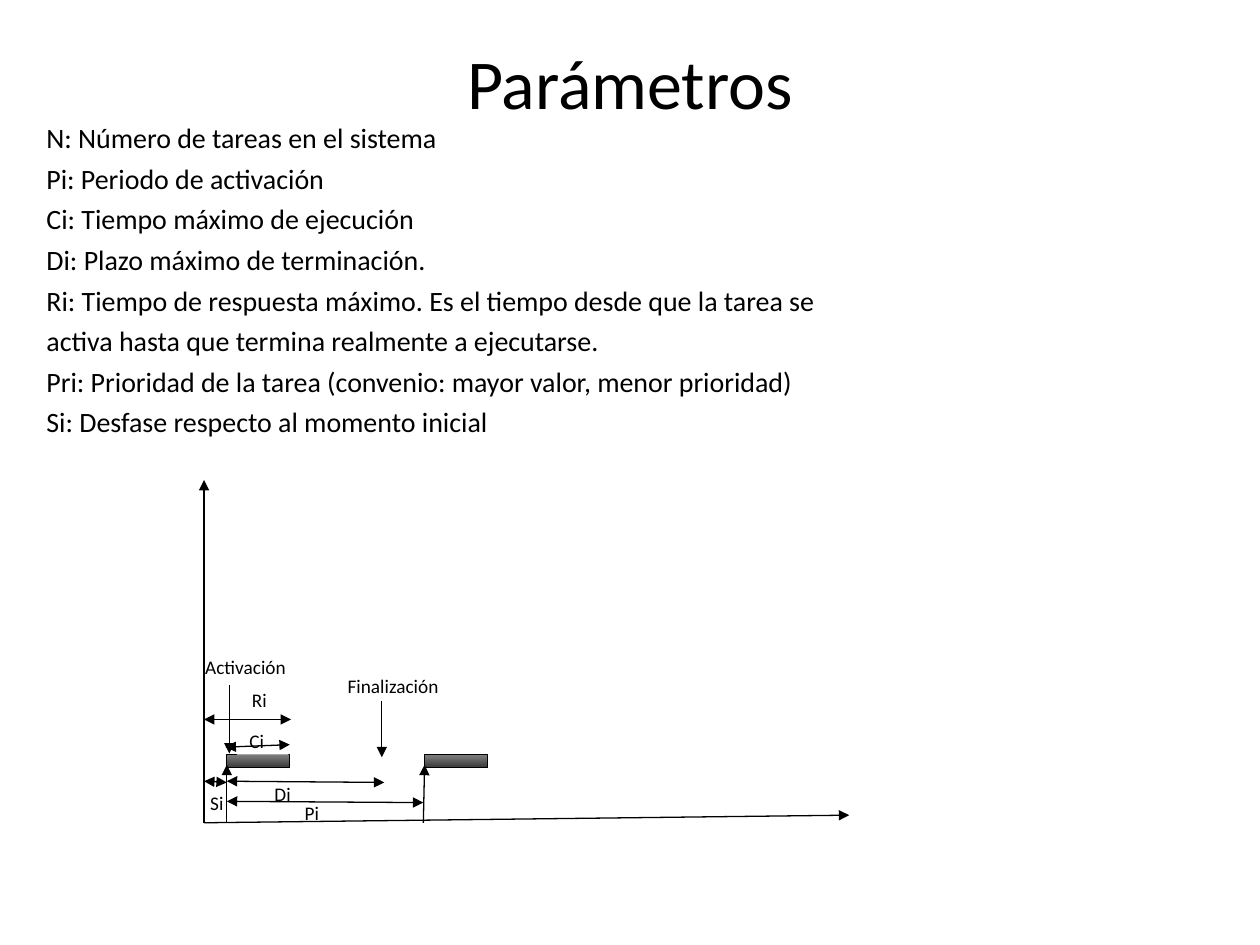
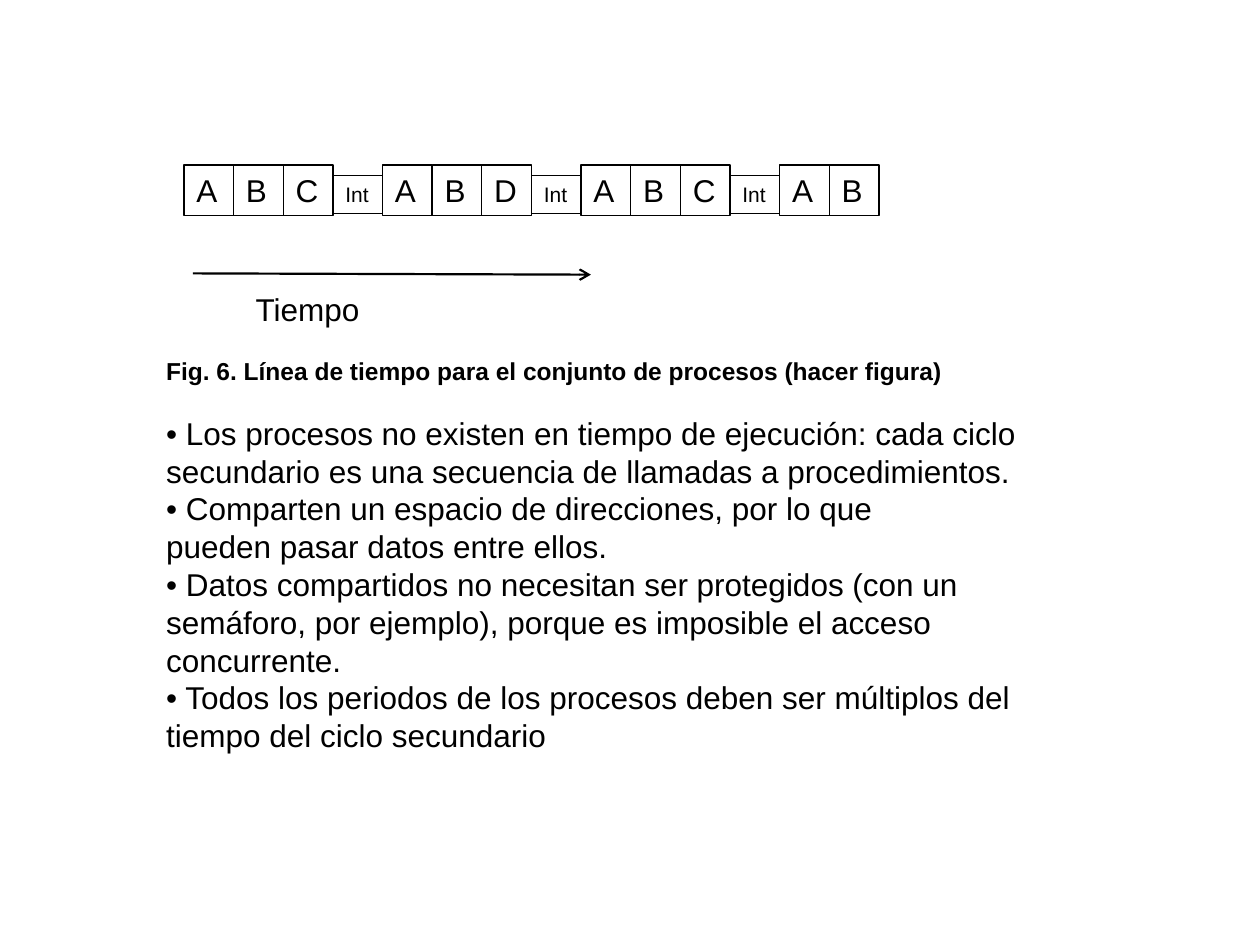
"""Builds two slides on real-time task parameters and the cyclic timeline."""
import lxml.etree
import pptx
import pptx.dml.color
import pptx.enum.shapes
import pptx.enum.text
import pptx.oxml.ns
import pptx.util

WIDTH, HEIGHT = 10, 7.5
BLACK, WHITE, BAR_TOP, BAR_BOTTOM = "000000", "FFFFFF", "808080", "3B3B3B"
THIN, THICK = 0.75, 1.25

TITLE = "Parámetros"
PARAMETERS = [
    "N: Número de tareas en el sistema",
    "Pi: Periodo de activación",
    "Ci: Tiempo máximo de ejecución",
    "Di: Plazo máximo de terminación.",
    "Ri: Tiempo de respuesta máximo. Es el tiempo desde que la tarea se",
    "activa hasta que termina realmente a ejecutarse.",
    "Pri: Prioridad de la tarea (convenio: mayor valor, menor prioridad)",
    "Si: Desfase respecto al momento inicial",
]

ORIGIN, RELEASE, DONE, DEADLINE, NEXT = 1.62, 1.8, 2.3, 3.04, 3.37
BASE, BAR_Y, BAR_FOOT = 6.53, 5.99, 6.07
BAR_W, BAR_H, LABEL_H = 0.5, 0.1, 0.25
LABELS = [
    ("Ci", 1.88, 5.74, 0.41, WHITE),
    ("Finalización", 2.66, 5.3, 1.05, WHITE),
    ("Ri", 1.9, 5.41, 0.41, WHITE),
    ("Pi", 2.32, 6.31, 0.41, None),
    ("Si", 1.57, 6.23, 0.41, None),
    ("Di", 2.08, 6.16, 0.41, None),
    ("Activación", 1.53, 5.15, 0.91, None),
]
ONE_WAY = [
    (ORIGIN, BASE, 6.74, 6.47),
    (ORIGIN, BASE, ORIGIN, 3.81),
    (RELEASE, BASE, RELEASE, BAR_FOOT),
    (NEXT - 0.01, BASE, NEXT, BAR_FOOT),
    (1.82, 5.44, 1.82, 5.98),
    (3.03, 5.56, 3.03, 6.01),
]
SPANS = [
    (ORIGIN, 6.2, RELEASE, 6.21),
    (RELEASE, 6.2, DEADLINE + 0.01, 6.21),
    (RELEASE, 6.36, NEXT - 0.01, 6.37),
    (ORIGIN, 5.71, DONE + 0.01, 5.71),
    (RELEASE - 0.01, 5.93, DONE, 5.91),
]

SLOTS = ["A", "B", "C", "Int", "A", "B", "D", "Int", "A", "B", "C", "Int", "A", "B"]
SLOT_X, SLOT_Y, SLOT_PITCH, SLOT_H, INT_H = 1.46, 1.31, 0.394, 0.4, 0.3
CAPTION = "Fig. 6. Línea de tiempo para el conjunto de procesos (hacer figura)"
NOTES = [
    "• Los procesos no existen en tiempo de ejecución: cada ciclo",
    "secundario es una secuencia de llamadas a procedimientos.",
    "• Comparten un espacio de direcciones, por lo que",
    "pueden pasar datos entre ellos.",
    "• Datos compartidos no necesitan ser protegidos (con un",
    "semáforo, por ejemplo), porque es imposible el acceso concurrente.",
    "• Todos los periodos de los procesos deben ser múltiplos del tiempo del ciclo secundario",
]


def rgb(value):
    return pptx.dml.color.RGBColor.from_string(value)


def inches(*values):
    return [pptx.util.Inches(v) for v in values]


def write(p, text, size, font, bold=False, **paragraph):
    for name, value in {"alignment": pptx.enum.text.PP_ALIGN.LEFT, **paragraph}.items():
        setattr(p, name, value)
    r = p.add_run()
    r.text = text
    r.font.color.rgb = rgb(BLACK)
    for name, value in {"size": pptx.util.Pt(size), "name": font, "bold": bold}.items():
        setattr(r.font, name, value)


def frame(sp, wrap):
    tf = sp.text_frame
    values = {"word_wrap": wrap, "vertical_anchor": pptx.enum.text.MSO_ANCHOR.TOP}
    for name, value in values.items():
        setattr(tf, name, value)
    return tf


def add_lines(s, box, lines):
    tf = frame(s.shapes.add_textbox(*inches(*box)), True)
    for i, line in enumerate(lines):
        write(tf.paragraphs[0] if i == 0 else tf.add_paragraph(), **line)


def add_box(s, box, fill=None, outline=True):
    sp = s.shapes.add_shape(pptx.enum.shapes.MSO_SHAPE.RECTANGLE, *inches(*box))
    sp.shadow.inherit = False
    if fill:
        sp.fill.solid()
        sp.fill.fore_color.rgb = rgb(fill)
    else:
        sp.fill.background()
    if outline:
        sp.line.color.rgb = rgb(BLACK)
        sp.line.width = pptx.util.Pt(THIN)
    else:
        sp.line.fill.background()
    return sp


def add_arrow(s, ends, heads=("tailEnd",), kind="triangle", width=THIN):
    straight = pptx.enum.shapes.MSO_CONNECTOR.STRAIGHT
    line = s.shapes.add_connector(straight, *inches(*ends))
    line.line.color.rgb = rgb(BLACK)
    line.line.width = pptx.util.Pt(width)
    qn, props = pptx.oxml.ns.qn, line._element.spPr
    for head in heads:
        lxml.etree.SubElement(props.get_or_add_ln(), qn("a:" + head), type=kind)
    lxml.etree.SubElement(props, qn("a:effectLst"))


def add_bar(s, x):
    sp = add_box(s, (x, BAR_Y, BAR_W, BAR_H))
    sp.fill.gradient()
    sp.fill.gradient_angle = 270
    for stop, color in zip(sp.fill.gradient_stops, (BAR_TOP, BAR_BOTTOM)):
        stop.color.rgb = rgb(color)


def parameters_slide(prs):
    s = prs.slides.add_slide(prs.slide_layouts[5])
    title = s.shapes.title
    for name, value in zip(("left", "top", "width", "height"), inches(0.5, 0.3, 9, 0.69)):
        setattr(title, name, value)
    tf = frame(title, True)
    tf.vertical_anchor = pptx.enum.text.MSO_ANCHOR.MIDDLE
    tf.auto_size = pptx.enum.text.MSO_AUTO_SIZE.NONE
    write(tf.paragraphs[0], TITLE, 40, "Calibri", alignment=pptx.enum.text.PP_ALIGN.CENTER)
    add_lines(s, (0.27, 0.91, 8.11, 2.6), [
        dict(text=text, size=16, font="Calibri", space_before=pptx.util.Pt(4))
        for text in PARAMETERS])
    for x in (RELEASE, NEXT):
        add_bar(s, x)
    for text, x, y, width, fill in LABELS:
        sp = add_box(s, (x, y, width, LABEL_H), fill, outline=False)
        write(frame(sp, True).paragraphs[0], text, 11, "Calibri")
    for ends in ONE_WAY:
        add_arrow(s, ends)
    for ends in SPANS:
        add_arrow(s, ends, ("headEnd", "tailEnd"))


def timeline_slide(prs):
    s = prs.slides.add_slide(prs.slide_layouts[6])
    notes = [dict(text=text, size=18, font="Arial") for text in NOTES]
    notes[0]["space_before"] = pptx.util.Pt(16)
    caption = dict(text=CAPTION, size=14, font="Arial", bold=True)
    add_lines(s, (1.22, 2.78, 7.4, 3.28), [caption] + notes)
    for i, text in enumerate(SLOTS):
        height, size = (INT_H, 12) if text == "Int" else (SLOT_H, 18)
        y = SLOT_Y + (SLOT_H - height) * 0.85
        sp = add_box(s, (SLOT_X + i * SLOT_PITCH, y, SLOT_PITCH, height))
        write(frame(sp, False).paragraphs[0], text, size, "Arial")
    add_arrow(s, (1.53, 2.17, 4.69, 2.18), kind="arrow", width=THICK)
    add_lines(s, (1.93, 2.25, 1.18, 0.4), [dict(text="Tiempo", size=18, font="Arial")])


def main():
    prs = pptx.Presentation()
    prs.slide_width, prs.slide_height = inches(WIDTH, HEIGHT)
    parameters_slide(prs)
    timeline_slide(prs)
    prs.save("out.pptx")


if __name__ == "__main__":
    main()
